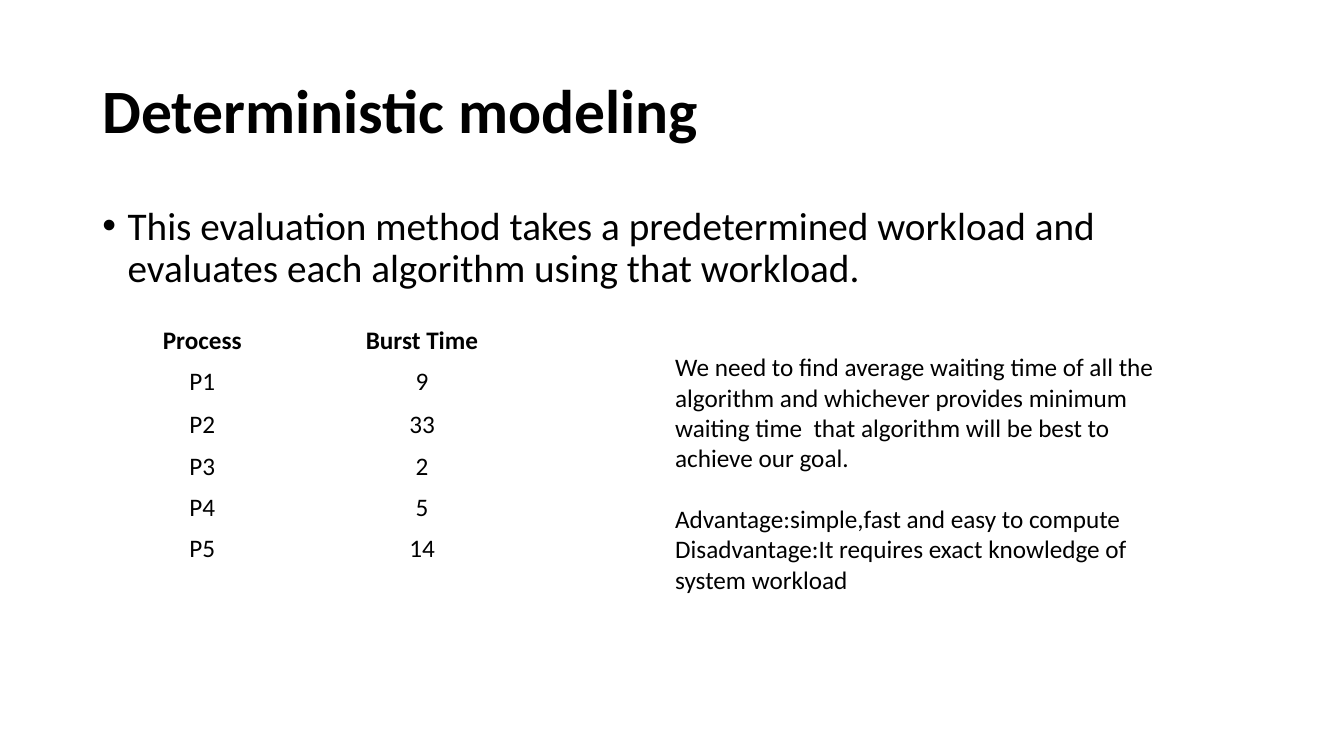
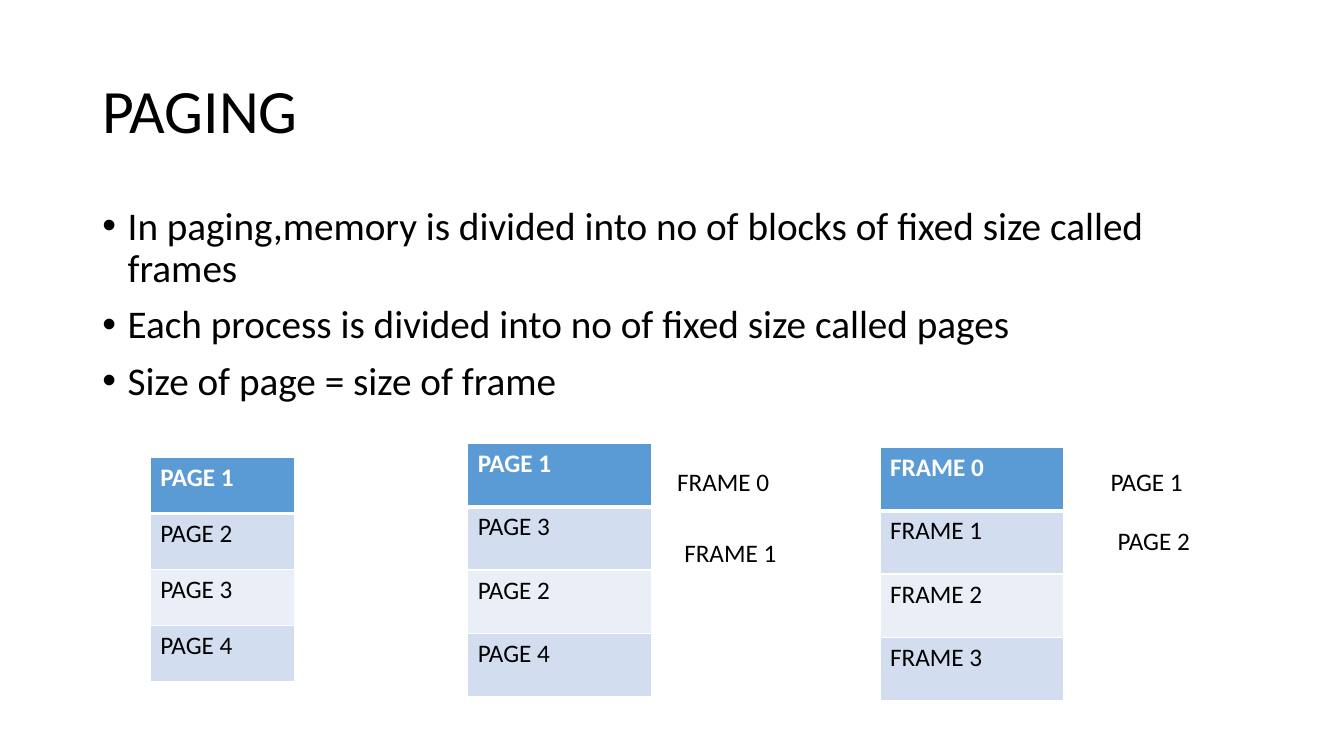
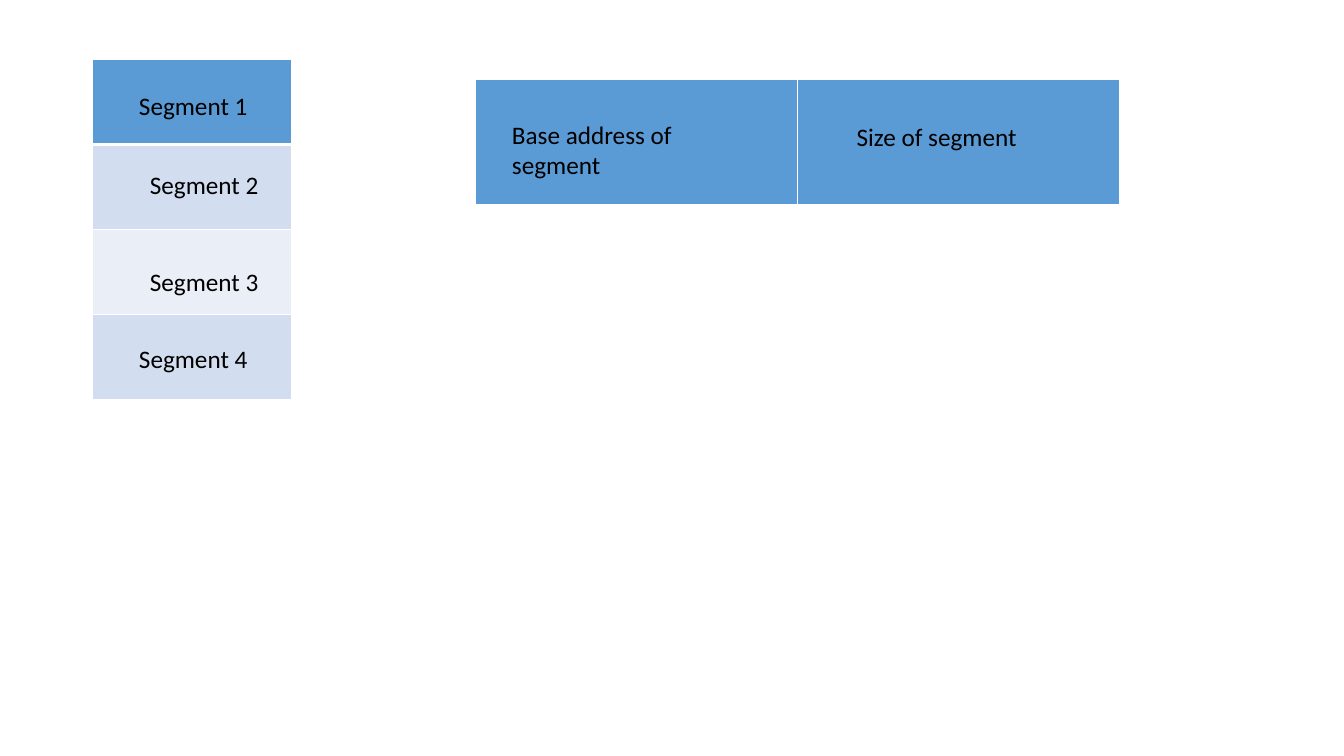
from dataclasses import dataclass
from typing import Any

from lxml import etree
from pptx import Presentation
from pptx.dml.color import RGBColor
from pptx.enum.text import MSO_ANCHOR, MSO_AUTO_SIZE, PP_ALIGN
from pptx.oxml.ns import qn
from pptx.util import Pt

LEFT, CENTER = PP_ALIGN.LEFT, PP_ALIGN.CENTER
TOP, MIDDLE = MSO_ANCHOR.TOP, MSO_ANCHOR.MIDDLE
NO_FIT, GROW = MSO_AUTO_SIZE.NONE, MSO_AUTO_SIZE.SHAPE_TO_FIT_TEXT
TITLE_AND_CONTENT, BLANK = 1, 6


# Shared look
@dataclass(frozen=True)
class Theme:
    font: str = "Calibri"
    title_size: float = 44
    body_size: float = 28
    text_size: float = 18
    ink: str = "000000"
    paper: str = "FFFFFF"
    header: str = "5B9BD5"
    bands: tuple[str, str] = ("D2DEEF", "EAEFF7")
    rule: float = 1
    header_rule: float = 3


THEME = Theme()


@dataclass(frozen=True)
class Box:
    left: float
    top: float
    width: float
    height: float

    def lengths(self) -> tuple[int, int, int, int]:
        return Pt(self.left), Pt(self.top), Pt(self.width), Pt(self.height)


@dataclass(frozen=True)
class Label:
    box: Box
    paragraphs: tuple[str, ...]
    gap_before_second: float = 0


@dataclass(frozen=True)
class Grid:
    left: float
    top: float
    column_width: float
    row_heights: tuple[float, ...]
    rows: tuple[tuple[str, ...], ...]
    banded: bool = True


TITLE_BOX = Box(66, 28.75, 828, 104.4)
BODY_BOX = Box(66, 143.75, 828, 342.6)
TITLE_FRAME = {"vertical_anchor": MIDDLE, "auto_size": NO_FIT, "word_wrap": True}
BODY_FRAME = {"vertical_anchor": TOP, "auto_size": NO_FIT, "word_wrap": True}
LABEL_FRAME = {"vertical_anchor": TOP, "auto_size": GROW, "word_wrap": True}
TITLE_PARAGRAPH = {"alignment": LEFT, "line_spacing": 0.9, "space_before": Pt(0)}
BODY_PARAGRAPH = {"alignment": LEFT, "line_spacing": 0.9, "space_before": Pt(10)}


# Drawing helpers
def apply_format(target: Any, values: dict[str, Any]) -> None:
    for attribute, value in values.items():
        setattr(target, attribute, value)


def write(paragraph: Any, text: str, size: float, color: str = THEME.ink,
          bold: bool = False) -> None:
    run = paragraph.add_run()
    run.text = text
    apply_format(run.font, {"name": THEME.font, "size": Pt(size), "bold": bold})
    run.font.color.rgb = RGBColor.from_string(color)


def place(shape: Any, box: Box) -> None:
    apply_format(shape, dict(zip(("left", "top", "width", "height"), box.lengths())))


def paragraph_at(frame: Any, index: int) -> Any:
    return frame.paragraphs[0] if index == 0 else frame.add_paragraph()


def add_bullet(paragraph: Any) -> None:
    properties = paragraph._p.get_or_add_pPr()
    properties.set("marL", str(Pt(18)))
    properties.set("indent", str(-Pt(18)))
    etree.SubElement(properties, qn("a:buFont"), typeface="Arial")
    etree.SubElement(properties, qn("a:buChar"), char="•")


def add_topic_slide(deck: Any, title: str, points: tuple[str, ...],
                    bold_title: bool = False) -> Any:
    slide = deck.slides.add_slide(deck.slide_layouts[TITLE_AND_CONTENT])
    heading, body = slide.shapes.title, slide.placeholders[1]
    place(heading, TITLE_BOX)
    apply_format(heading.text_frame, TITLE_FRAME)
    heading_line = heading.text_frame.paragraphs[0]
    apply_format(heading_line, TITLE_PARAGRAPH)
    write(heading_line, title, THEME.title_size, bold=bold_title)
    place(body, BODY_BOX)
    apply_format(body.text_frame, BODY_FRAME)
    for index, point in enumerate(points):
        bullet_line = paragraph_at(body.text_frame, index)
        apply_format(bullet_line, BODY_PARAGRAPH)
        add_bullet(bullet_line)
        write(bullet_line, point, THEME.body_size)
    return slide


def add_label(slide: Any, label: Label) -> None:
    frame = slide.shapes.add_textbox(*label.box.lengths()).text_frame
    apply_format(frame, LABEL_FRAME)
    for index, text in enumerate(label.paragraphs):
        paragraph = paragraph_at(frame, index)
        if index == 1:
            paragraph.space_before = Pt(label.gap_before_second)
        write(paragraph, text, THEME.text_size)


def add_borders(cell: Any, row: int) -> None:
    widths = {
        "lnL": THEME.rule,
        "lnR": THEME.rule,
        "lnT": THEME.header_rule if row == 1 else THEME.rule,
        "lnB": THEME.header_rule if row == 0 else THEME.rule,
    }
    properties = cell._tc.get_or_add_tcPr()
    for side, width in widths.items():
        line = etree.SubElement(properties, qn(f"a:{side}"), w=str(Pt(width)))
        fill = etree.SubElement(line, qn("a:solidFill"))
        etree.SubElement(fill, qn("a:srgbClr"), val=THEME.paper)


def add_grid(slide: Any, grid: Grid) -> None:
    columns = len(grid.rows[0])
    box = Box(grid.left, grid.top, grid.column_width * columns, sum(grid.row_heights))
    table = slide.shapes.add_table(len(grid.rows), columns, *box.lengths()).table
    apply_format(table, {"first_row": False, "horz_banding": False})
    for row, (height, texts) in enumerate(zip(grid.row_heights, grid.rows)):
        table.rows[row].height = Pt(height)
        is_header = row == 0
        fill, ink = THEME.paper, THEME.ink
        if grid.banded:
            fill = THEME.header if is_header else THEME.bands[(row - 1) % 2]
            ink = THEME.paper if is_header else THEME.ink
        for column, text in enumerate(texts):
            cell = table.cell(row, column)
            cell.vertical_anchor = TOP if grid.banded else MIDDLE
            if grid.banded:
                add_borders(cell, row)
            cell.fill.solid()
            cell.fill.fore_color.rgb = RGBColor.from_string(fill)
            if text:
                paragraph = cell.text_frame.paragraphs[0]
                paragraph.alignment = LEFT if grid.banded else CENTER
                write(paragraph, text, THEME.text_size, ink, is_header)


def stack(left: float, top: float, width: float, row_height: float,
          *texts: str) -> Grid:
    return Grid(left, top, width, (row_height,) * len(texts),
                tuple((text,) for text in texts))


# Content
BURST_TIMES = Grid(
    66, 229, 157, (29.1, 29.1, 31.7, 29.1, 29.1, 29.1),
    (("Process", "Burst Time"), ("P1", "9"), ("P2", "33"),
     ("P3", "2"), ("P4", "5"), ("P5", "14")),
    banded=False,
)
EVALUATION = Label(
    Box(475.2, 247.7, 383.8, 181.4),
    ("We need to find average waiting time of all the algorithm and whichever "
     "provides minimum waiting time  that algorithm will be best to achieve our goal.",
     "Advantage:simple,fast and easy to compute",
     "Disadvantage:It requires exact knowledge of system workload"),
    gap_before_second=22,
)
PAGING_POINTS = (
    "In paging,memory is divided into no of blocks of fixed size called frames",
    "Each process is divided into no of fixed size called pages",
    "Size of page = size of frame",
)
PAGING_GRIDS = (
    stack(107.3, 326.9, 103, 40, "PAGE 1", "PAGE 2", "PAGE 3", "PAGE 4"),
    stack(334.1, 316.8, 131, 45.2, "PAGE 1", "PAGE 3", "PAGE 2", "PAGE 4"),
    stack(628.6, 319.7, 131, 45.2, "FRAME 0", "FRAME 1", "FRAME 2", "FRAME 3"),
)
PAGING_LABELS = (
    Label(Box(476.6, 329.8, 120, 29), ("FRAME 0",)),
    Label(Box(481.7, 380.2, 120, 29), ("FRAME 1",)),
    Label(Box(786.2, 329.8, 91.4, 29), ("PAGE 1",)),
    Label(Box(791.3, 371.9, 72, 29), ("PAGE 2",)),
)
SEGMENT_GRIDS = (
    stack(66.2, 42.5, 141.8, 60.8, "", "", "", ""),
    Grid(339.8, 56.9, 230, (90,), (("", ""),)),
)
SEGMENT_LABELS = (
    Label(Box(92.2, 61.2, 115.2, 29), ("Segment 1",)),
    Label(Box(100, 117.4, 98.6, 29), ("Segment 2",)),
    Label(Box(100, 186.5, 98.6, 29), ("Segment 3",)),
    Label(Box(92.2, 241.9, 105.8, 29), ("Segment 4",)),
    Label(Box(358.6, 81.4, 145.4, 51), ("Base address of segment",)),
    Label(Box(604.8, 82.8, 164.2, 29), ("Size of segment",)),
)


def fill_slide(slide: Any, grids: tuple[Grid, ...], labels: tuple[Label, ...]) -> None:
    for grid in grids:
        add_grid(slide, grid)
    for label in labels:
        add_label(slide, label)


def main() -> None:
    deck = Presentation()
    apply_format(deck, {"slide_width": Pt(960), "slide_height": Pt(540)})

    # Deterministic modeling
    modeling = add_topic_slide(
        deck, "Deterministic modeling",
        ("This evaluation method takes a predetermined workload and evaluates "
         "each algorithm using that workload.",),
        bold_title=True,
    )
    fill_slide(modeling, (BURST_TIMES,), (EVALUATION,))

    # Paging
    paging = add_topic_slide(deck, "PAGING", PAGING_POINTS)
    fill_slide(paging, PAGING_GRIDS, PAGING_LABELS)

    # Segments
    segments = deck.slides.add_slide(deck.slide_layouts[BLANK])
    fill_slide(segments, SEGMENT_GRIDS, SEGMENT_LABELS)

    deck.save("out.pptx")


if __name__ == "__main__":
    main()
